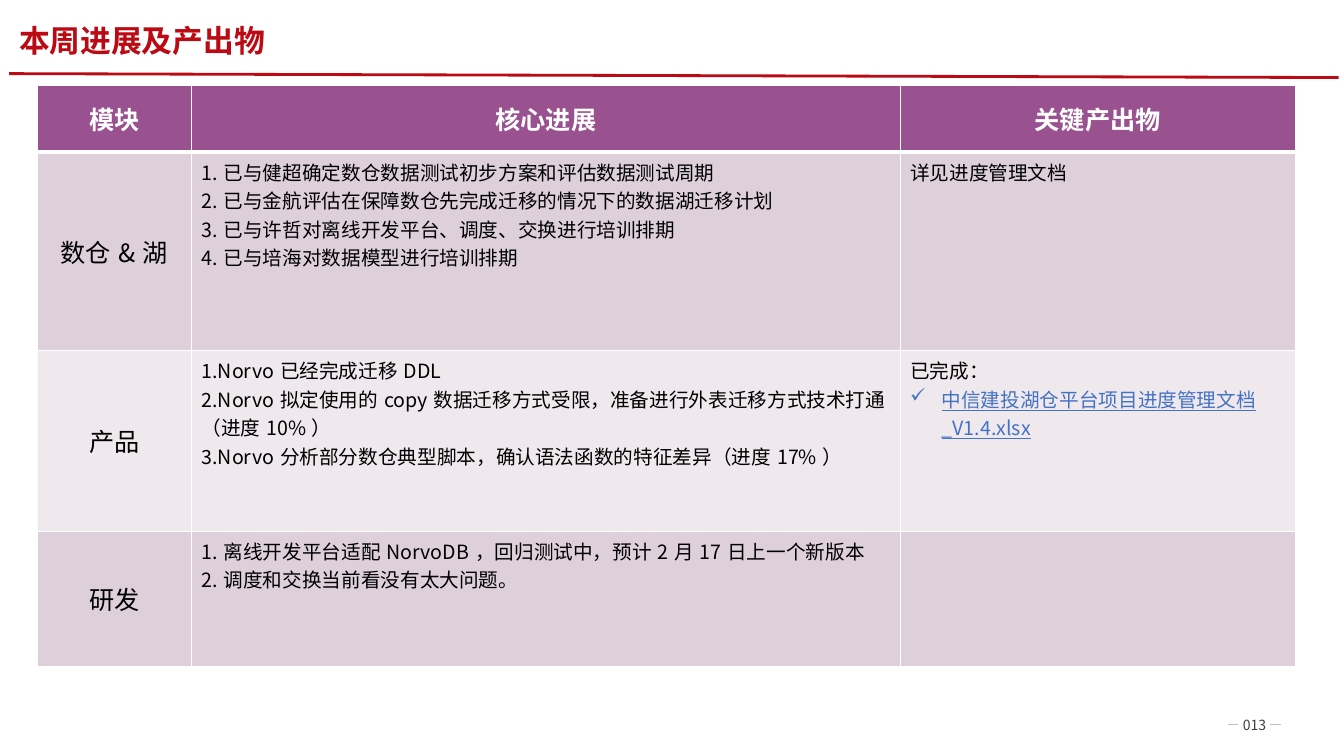
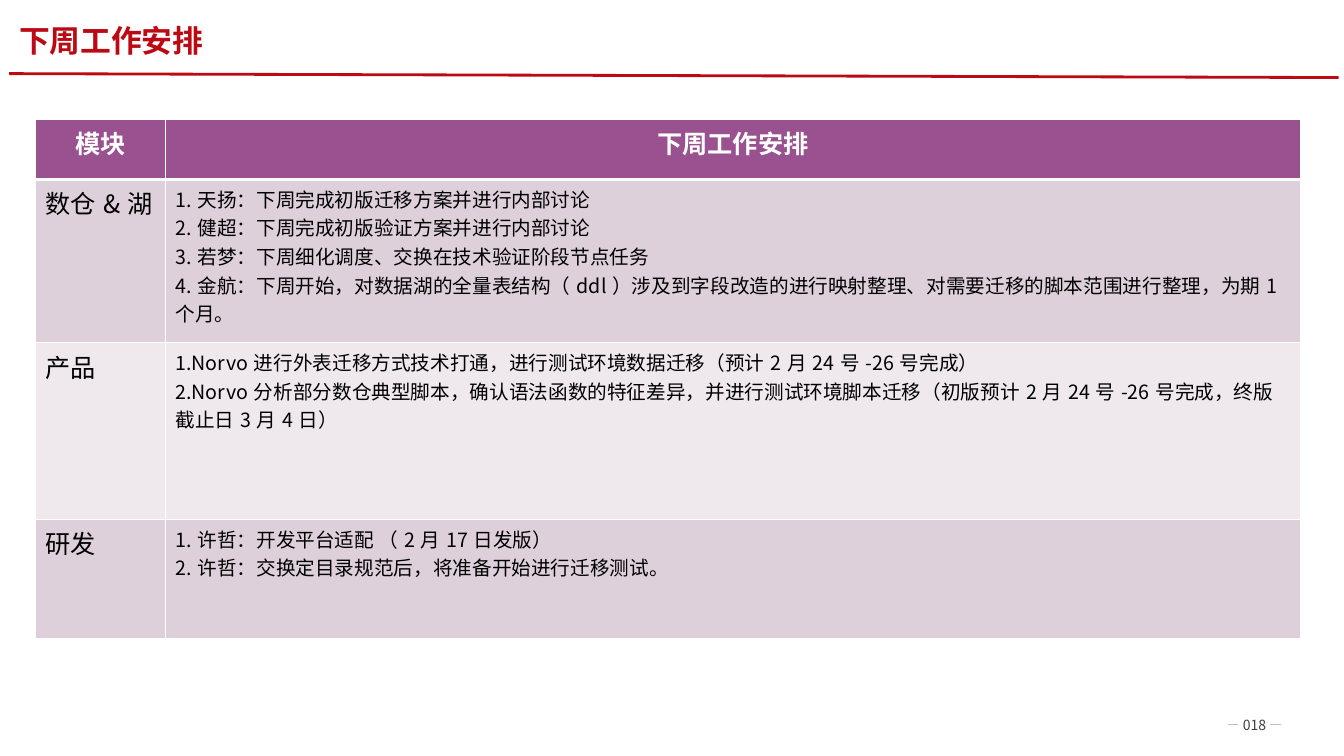
"""Build the weekly progress page and the next-week plan page."""
from dataclasses import dataclass

from lxml.etree import SubElement
from pptx import Presentation
from pptx.dml.color import RGBColor
from pptx.enum.shapes import MSO_CONNECTOR
from pptx.enum.text import MSO_ANCHOR, PP_ALIGN
from pptx.oxml import parse_xml
from pptx.oxml.ns import nsdecls, qn
from pptx.slide import Slide
from pptx.table import _Cell
from pptx.text.text import TextFrame, _Paragraph
from pptx.util import Pt


@dataclass(frozen=True)
class Theme:
    font: str = "Noto Sans CJK SC"
    red: str = "BB0A14"
    purple: str = "995190"
    band_dark: str = "DED0DB"
    band_light: str = "EFE9EE"
    white: str = "FFFFFF"
    black: str = "000000"
    link: str = "4472C4"
    number: str = "404040"
    dash: str = "BFBFBF"
    title_size: float = 22
    module_size: float = 18
    body_size: float = 14
    number_size: float = 10


@dataclass(frozen=True)
class Style:
    size: float
    color: str
    bold: bool = False
    underline: bool = False


@dataclass(frozen=True)
class Rule:
    x1: float
    y1: float
    x2: float
    y2: float
    color: str
    width: float


@dataclass(frozen=True)
class Grid:
    left: float
    top: float
    columns: tuple[float, ...]
    rows: tuple[float, ...]
    cells: tuple[tuple[str, ...], ...]
    centred: bool


@dataclass(frozen=True)
class Page:
    title: str
    number: str
    grid: Grid


THEME = Theme()
TITLE = Style(THEME.title_size, THEME.red, bold=True)
HEADER = Style(THEME.module_size, THEME.white, bold=True)
MODULE = Style(THEME.module_size, THEME.black)
BODY = Style(THEME.body_size, THEME.black)
LINK = Style(THEME.body_size, THEME.link, underline=True)
NUMBER = Style(THEME.number_size, THEME.number)

RULES = (
    Rule(877, 517.7, 884.2, 517.7, THEME.dash, 0.5),
    Rule(907.2, 517.7, 915.1, 517.7, THEME.dash, 0.5),
    Rule(6.5, 52.6, 956.2, 55.4, THEME.red, 2),
)

PAGES = (
    Page("本周进展及产出物", "013", Grid(
        26.6, 61.2, (110.2, 506.2, 282.2), (47.5, 141.8, 128.9, 96.5),
        (
            ("模块", "核心进展", "关键产出物"),
            ("数仓&湖",
             "1.已与健超确定数仓数据测试初步方案和评估数据测试周期\n"
             "2.已与金航评估在保障数仓先完成迁移的情况下的数据湖迁移计划\n"
             "3.已与许哲对离线开发平台、调度、交换进行培训排期\n"
             "4.已与培海对数据模型进行培训排期",
             "详见进度管理文档"),
            ("产品",
             "1.Norvo已经完成迁移DDL\n"
             "2.Norvo拟定使用的copy数据迁移方式受限，准备进行外表迁移方式技术打通（进度10%）\n"
             "3.Norvo分析部分数仓典型脚本，确认语法函数的特征差异（进度17%）",
             "已完成：\n中信建投湖仓平台项目进度管理文档_V1.4.xlsx"),
            ("研发",
             "1.离线开发平台适配NorvoDB，回归测试中，预计2月17日上一个新版本\n"
             "2.调度和交换当前看没有太大问题。",
             ""),
        ), centred=True)),
    Page("下周工作安排", "018", Grid(
        25.2, 85, (92.9, 810.7), (43.2, 116.6, 126, 85.7),
        (
            ("模块", "下周工作安排"),
            ("数仓&湖",
             "1.天扬：下周完成初版迁移方案并进行内部讨论\n"
             "2.健超：下周完成初版验证方案并进行内部讨论\n"
             "3.若梦：下周细化调度、交换在技术验证阶段节点任务\n"
             "4.金航：下周开始，对数据湖的全量表结构（ddl）涉及到字段改造的进行映射整理、"
             "对需要迁移的脚本范围进行整理，为期1个月。"),
            ("产品",
             "1.Norvo进行外表迁移方式技术打通，进行测试环境数据迁移（预计2月24号-26号完成）\n"
             "2.Norvo分析部分数仓典型脚本，确认语法函数的特征差异，并进行测试环境脚本迁移"
             "（初版预计2月24号-26号完成，终版截止日3月4日）"),
            ("研发",
             "1.许哲：开发平台适配 （2月17日发版）\n"
             "2.许哲：交换定目录规范后，将准备开始进行迁移测试。"),
        ), centred=False)),
)


def format_paragraph(para: _Paragraph, style: Style, align: PP_ALIGN) -> None:
    """Apply alignment and character style to a paragraph."""
    para.alignment = align
    for span in para.runs:
        span.font.name = THEME.font
        span.font.size = Pt(style.size)
        span.font.bold = style.bold
        span.font.underline = style.underline
        span.font.color.rgb = RGBColor.from_string(style.color)
        SubElement(span.font._element, qn("a:ea"), typeface=THEME.font)


def add_check(para: _Paragraph) -> None:
    """Give a paragraph a hanging check mark."""
    properties = para._p.get_or_add_pPr()
    properties.set("marL", str(Pt(22.5)))
    properties.set("indent", str(Pt(-22.5)))
    SubElement(properties, qn("a:buChar"), char="✓")


def fill_text(frame: TextFrame, text: str, style: Style,
              align: PP_ALIGN = PP_ALIGN.LEFT) -> None:
    """Write text line by line, showing file names as checked links."""
    frame.text = text
    for para in frame.paragraphs:
        is_file = para.text.endswith(".xlsx")
        if is_file:
            add_check(para)
        format_paragraph(para, LINK if is_file else style, align)


def add_label(slide: Slide, frame: tuple[float, float, float, float],
              text: str, style: Style, align: PP_ALIGN) -> TextFrame:
    """Add a wrapping text box without vertical insets."""
    box = slide.shapes.add_textbox(*(Pt(length) for length in frame))
    box.text_frame.word_wrap = True
    box.text_frame.margin_top = box.text_frame.margin_bottom = 0
    fill_text(box.text_frame, text, style, align)
    return box.text_frame


def add_rule(slide: Slide, rule: Rule) -> None:
    """Draw a straight line without shadow."""
    line = slide.shapes.add_connector(
        MSO_CONNECTOR.STRAIGHT, Pt(rule.x1), Pt(rule.y1), Pt(rule.x2), Pt(rule.y2))
    line.line.color.rgb = RGBColor.from_string(rule.color)
    line.line.width = Pt(rule.width)
    SubElement(line._element.spPr, qn("a:effectLst"))


def style_cell(cell: _Cell, color: str, row: int) -> None:
    """Fill a cell and draw its white borders, thicker below the header."""
    cell.fill.solid()
    cell.fill.fore_color.rgb = RGBColor.from_string(color)
    widths = {"lnL": 1, "lnR": 1, "lnT": 3 if row == 1 else 1, "lnB": 3 if row == 0 else 1}
    for position, (side, width) in enumerate(widths.items()):
        cell._tc.get_or_add_tcPr().insert(position, parse_xml(
            f'<a:{side} {nsdecls("a")} w="{Pt(width)}"><a:solidFill>'
            f'<a:srgbClr val="{THEME.white}"/></a:solidFill></a:{side}>'))


def add_grid(slide: Slide, grid: Grid) -> None:
    """Add the module table with a header and alternating bands."""
    table = slide.shapes.add_table(
        len(grid.rows), len(grid.columns), Pt(grid.left), Pt(grid.top),
        Pt(sum(grid.columns)), Pt(sum(grid.rows))).table
    for column, width in zip(table.columns, grid.columns):
        column.width = Pt(width)
    for row, height in zip(table.rows, grid.rows):
        row.height = Pt(height)
    for row, texts in enumerate(grid.cells):
        band = THEME.band_dark if row % 2 else THEME.band_light
        for column, text in enumerate(texts):
            cell = table.cell(row, column)
            is_label = row == 0 or column == 0
            style = HEADER if row == 0 else MODULE if column == 0 else BODY
            centre = row == 0 or (is_label and grid.centred)
            style_cell(cell, THEME.purple if row == 0 else band, row)
            cell.vertical_anchor = (
                MSO_ANCHOR.MIDDLE if is_label and grid.centred else MSO_ANCHOR.TOP)
            fill_text(cell.text_frame, text, style,
                      PP_ALIGN.CENTER if centre else PP_ALIGN.LEFT)


def add_page(deck: Presentation, page: Page) -> None:
    """Add one slide with its shared frame and table."""
    slide = deck.slides.add_slide(deck.slide_layouts[6])
    number = add_label(slide, (851, 508.3, 90, 19.4), page.number, NUMBER, PP_ALIGN.CENTER)
    number.vertical_anchor = MSO_ANCHOR.MIDDLE
    for rule in RULES:
        add_rule(slide, rule)
    title = add_label(slide, (6.5, 18.7, 922.3, 32.4), page.title, TITLE, PP_ALIGN.LEFT)
    title.paragraphs[0].line_spacing = 0.9
    add_grid(slide, page.grid)


def main() -> None:
    """Build and save the deck."""
    deck = Presentation()
    deck.slide_width, deck.slide_height = Pt(960), Pt(540)
    for page in PAGES:
        add_page(deck, page)
    deck.save("out.pptx")


if __name__ == "__main__":
    main()
